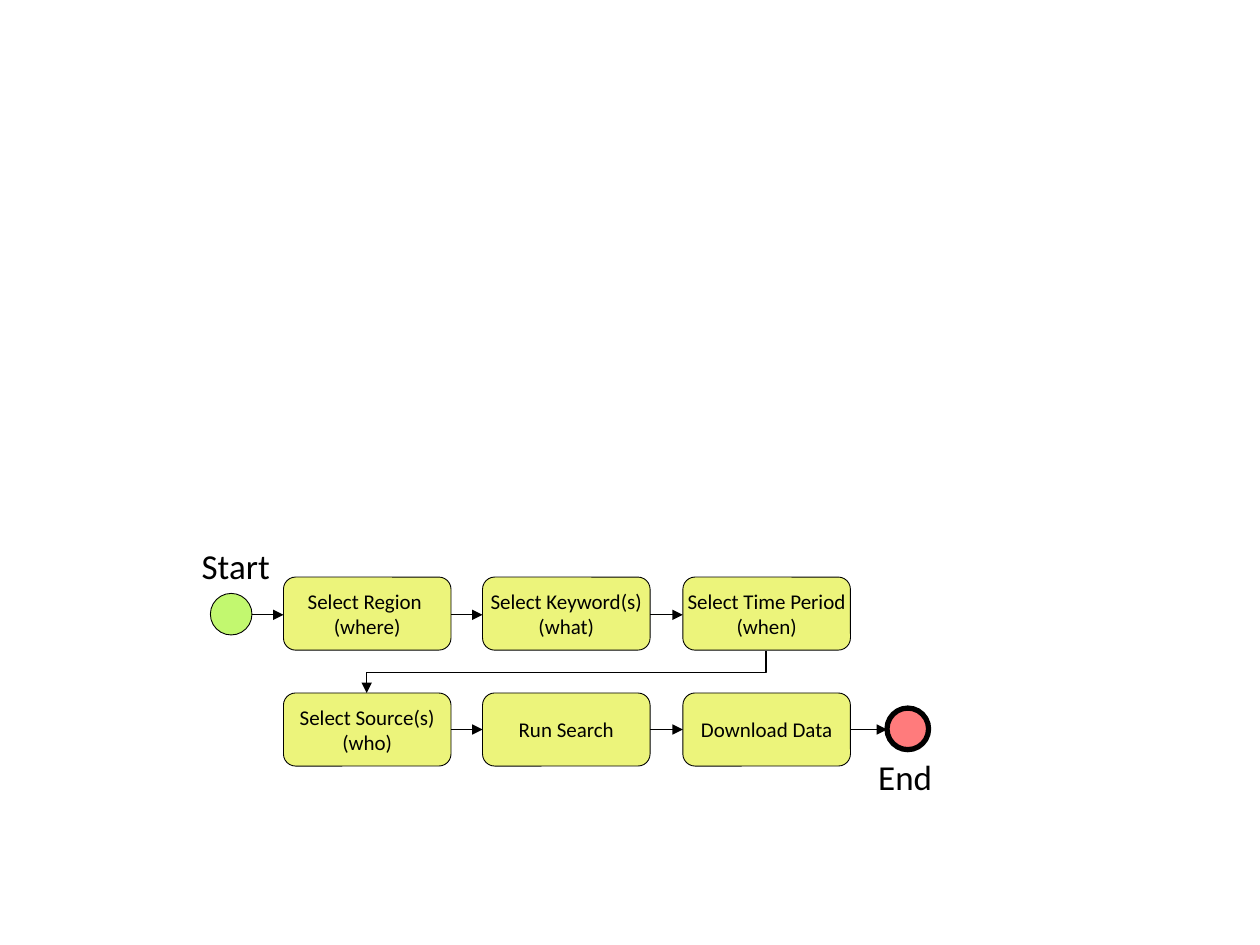
import pptx
import pptx.dml.color
import pptx.enum.shapes
import pptx.enum.text
import pptx.oxml
import pptx.oxml.ns
import pptx.util
from pptx.util import Inches

COLORS = {"step": "ECF47B", "start": "C2F86F", "end": "FF7B7C", "ink": "000000"}
SHAPES = pptx.enum.shapes.MSO_SHAPE
STEP_WIDTH, STEP_HEIGHT = 1.33, 0.58
COLUMNS = [2.25, 3.83, 5.42]
ROWS = [4.58, 5.5]
CENTERS = [4.88, 5.79]
CIRCLE = 0.33

deck = pptx.Presentation()
deck.slide_width, deck.slide_height = Inches(10), Inches(7.5)
page = deck.slides.add_slide(deck.slide_layouts[6])


def add_node(kind, left, top, width, height, color, line_width):
    node = page.shapes.add_shape(
        kind, Inches(left), Inches(top), Inches(width), Inches(height))
    node.shadow.inherit = False
    node.fill.solid()
    node.fill.fore_color.rgb = pptx.dml.color.RGBColor.from_string(COLORS[color])
    node.line.color.rgb = pptx.dml.color.RGBColor.from_string(COLORS["ink"])
    node.line.width = pptx.util.Pt(line_width)
    return node


def write(box, text, size, align):
    """Fill a shape with unwrapped text inside the wide margins of the diagram."""
    frame = box.text_frame
    frame.word_wrap = False
    frame.margin_left = frame.margin_right = Inches(0.34)
    frame.margin_top = frame.margin_bottom = Inches(0.17)
    frame.text = text
    for para in frame.paragraphs:
        para.alignment = align
        for span in para.runs:
            span.font.name = "Calibri"
            span.font.size = pptx.util.Pt(size)
            span.font.color.rgb = pptx.dml.color.RGBColor.from_string(COLORS["ink"])


# Process steps, one list per row; \v breaks a line within a paragraph
steps = [
    ["Select Region \v(where)", "Select Keyword(s)\n(what)", "Select Time Period\n(when)"],
    ["Select Source(s)\n(who)", "Run Search", "Download Data"],
]
for top, row in zip(ROWS, steps):
    for left, text in zip(COLUMNS, row):
        step = add_node(SHAPES.FLOWCHART_ALTERNATE_PROCESS, left, top,
                        STEP_WIDTH, STEP_HEIGHT, "step", 0.5)
        step.text_frame.vertical_anchor = pptx.enum.text.MSO_ANCHOR.MIDDLE
        write(step, text, 12, pptx.enum.text.PP_ALIGN.CENTER)

# Start and end circles with their labels
add_node(SHAPES.FLOWCHART_CONNECTOR, 1.67, 4.71, CIRCLE, CIRCLE, "start", 0.5)
add_node(SHAPES.FLOWCHART_CONNECTOR, 7.04, 5.62, CIRCLE, CIRCLE, "end", 3)
for text, left, top, width in [("Start", 1.26, 4.15, 1.24), ("End", 6.63, 5.83, 1.12)]:
    label = page.shapes.add_textbox(
        Inches(left), Inches(top), Inches(width), Inches(0.68))
    write(label, text, 20, pptx.enum.text.PP_ALIGN.LEFT)
    label.text_frame.auto_size = pptx.enum.text.MSO_AUTO_SIZE.SHAPE_TO_FIT_TEXT

# Arrows: x1, y1, x2, y2, rotation in degrees
arrows = [(2, CENTERS[0], COLUMNS[0], CENTERS[0], 0),
          (6.75, CENTERS[1], 7.04, CENTERS[1], 0)]
for center in CENTERS:
    for left, following in zip(COLUMNS, COLUMNS[1:]):
        arrows.append((left + STEP_WIDTH, center, following, center, 0))
# The turn to the second row is a bent connector given a quarter turn
arrows.append((4.33, 3.75, 4.66, 6.92, 90))

for x1, y1, x2, y2, rotation in arrows:
    arrow = page.shapes.add_connector(
        pptx.enum.shapes.MSO_CONNECTOR.ELBOW,
        Inches(x1), Inches(y1), Inches(x2), Inches(y2))
    arrow.line.color.rgb = pptx.dml.color.RGBColor.from_string(COLORS["ink"])
    arrow.line.width = pptx.util.Pt(0.75)
    properties = arrow.element.spPr
    if rotation:
        properties.find(pptx.oxml.ns.qn("a:xfrm")).set("rot", str(rotation * 60000))
    head = pptx.oxml.parse_xml(
        f'<a:tailEnd {pptx.oxml.ns.nsdecls("a")} type="triangle"/>')
    properties.find(pptx.oxml.ns.qn("a:ln")).append(head)
    properties.append(pptx.oxml.parse_xml(
        f'<a:effectLst {pptx.oxml.ns.nsdecls("a")}/>'))

deck.save("out.pptx")
